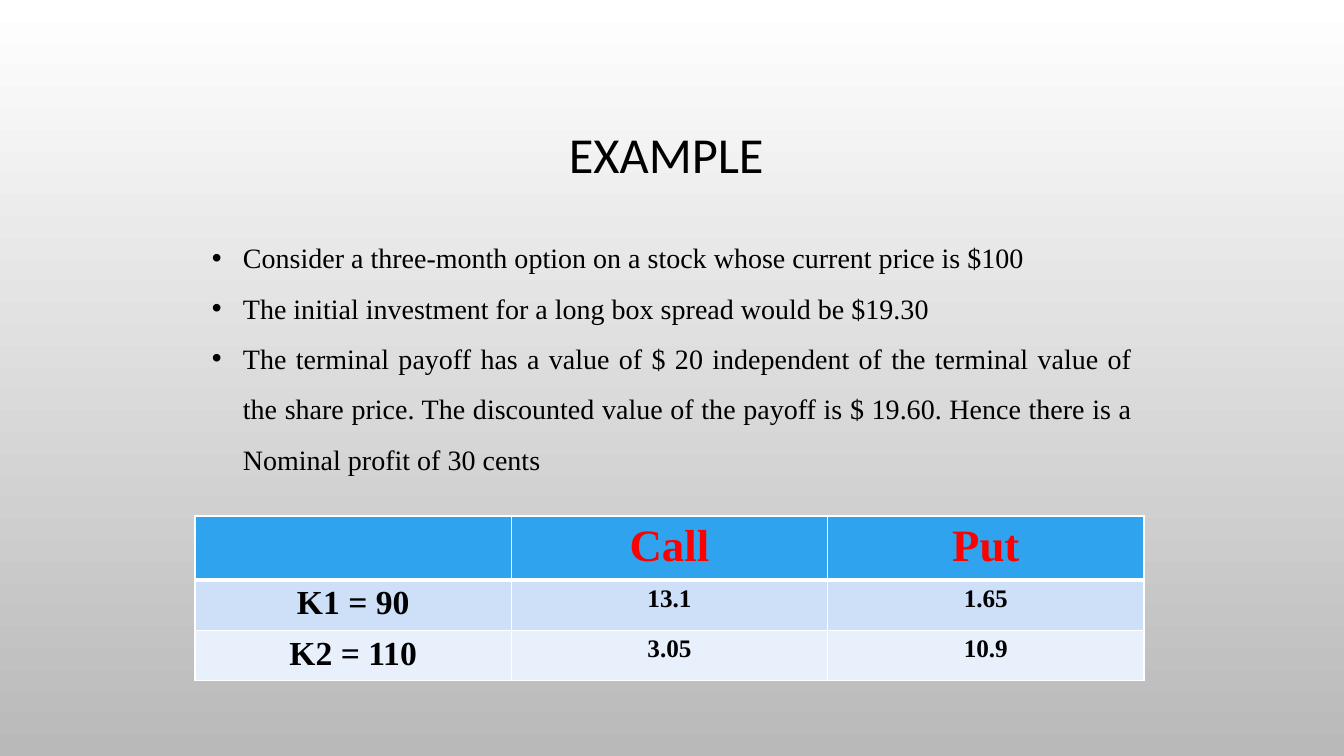
from lxml.etree import SubElement
from pptx import Presentation
from pptx.dml.color import RGBColor
from pptx.enum.text import MSO_ANCHOR, PP_ALIGN
from pptx.oxml.ns import qn
from pptx.util import Pt

EMU_PER_PX = 914400 / 100.8
WHITE = RGBColor(0xFF, 0xFF, 0xFF)
GRAY = RGBColor(0xB9, 0xB9, 0xB9)
BLACK = RGBColor(0, 0, 0)
RED = RGBColor(0xFF, 0, 0)
HEADER_BLUE = RGBColor(0x2F, 0xA3, 0xEE)
BAND_BLUE = RGBColor(0xCD, 0xE0, 0xF8)
PALE_BLUE = RGBColor(0xE8, 0xF0, 0xFC)

BULLETS = [
    "Consider a three-month option on a stock whose current price is $100",
    "The initial investment for a long box spread would be $19.30",
    "The terminal payoff has a value of $ 20 independent of the terminal value of "
    "the share price. The discounted value of the payoff is $ 19.60. Hence there is "
    "a Nominal profit of 30 cents",
]
PRICES = [
    ["", "Call", "Put"],
    ["K1 = 90", "13.1", "1.65"],
    ["K2 = 110", "3.05", "10.9"],
]
ROW_HEIGHTS = [60, 47, 48]
ROW_FILLS = [HEADER_BLUE, BAND_BLUE, PALE_BLUE]


def px(length):
    return round(length * EMU_PER_PX)


class SlideBuilder:
    title_font = "Calibri"
    body_font = "Times New Roman"

    def __init__(self, presentation):
        self.slide = presentation.slides.add_slide(presentation.slide_layouts[6])

    def background(self, top_color, bottom_color):
        fill = self.slide.background.fill
        fill.gradient()
        fill.gradient_angle = 270
        for stop, position, color in zip(fill.gradient_stops, (0, 1), (top_color, bottom_color)):
            stop.position = position
            stop.color.rgb = color

    def text_frame(self, left, top, width, height):
        shape = self.slide.shapes.add_textbox(px(left), px(top), px(width), px(height))
        shape.text_frame.word_wrap = True
        return shape.text_frame

    def run(self, paragraph, text, size, font_name, color=BLACK, bold=False):
        run = paragraph.add_run()
        run.text = text
        run.font.size = Pt(size)
        run.font.name = font_name
        run.font.color.rgb = color
        run.font.bold = bold

    def title(self, text, *box):
        frame = self.text_frame(*box)
        frame.vertical_anchor = MSO_ANCHOR.MIDDLE
        paragraph = frame.paragraphs[0]
        paragraph.alignment = PP_ALIGN.CENTER
        paragraph.line_spacing = 0.9
        self.run(paragraph, text, 36, self.title_font)

    def bullets(self, texts, indent, *box):
        frame = self.text_frame(*box)
        for index, text in enumerate(texts):
            paragraph = frame.add_paragraph() if index else frame.paragraphs[0]
            paragraph.alignment = PP_ALIGN.JUSTIFY
            paragraph.line_spacing = 1.5
            properties = paragraph._p.get_or_add_pPr()
            properties.set("marL", str(px(indent)))
            properties.set("indent", str(-px(indent)))
            SubElement(properties, qn("a:buFont"), typeface="Arial")
            SubElement(properties, qn("a:buChar"), char="•")
            self.run(paragraph, text, 20, self.body_font)

    def borders(self, cell, widths):
        properties = cell._tc.get_or_add_tcPr()
        for side, width in widths.items():
            line = SubElement(properties, qn(f"a:ln{side}"), w=str(Pt(width)))
            fill = SubElement(line, qn("a:solidFill"))
            SubElement(fill, qn("a:srgbClr"), val=str(WHITE))

    def table(self, rows, row_heights, row_fills, left, top, width):
        column_count = len(rows[0])
        table = self.slide.shapes.add_table(
            len(rows), column_count, px(left), px(top), px(width), px(sum(row_heights))
        ).table
        for column in table.columns:
            column.width = px(width / column_count)
        for row_index, texts in enumerate(rows):
            table.rows[row_index].height = px(row_heights[row_index])
            header = row_index == 0
            for column_index, text in enumerate(texts):
                cell = table.cell(row_index, column_index)
                top_width = 3 if row_index == 1 else 1
                bottom_width = 3 if header else 1
                self.borders(cell, {"L": 1, "R": 1, "T": top_width, "B": bottom_width})
                cell.fill.solid()
                cell.fill.fore_color.rgb = row_fills[row_index]
                if text:
                    paragraph = cell.text_frame.paragraphs[0]
                    paragraph.alignment = PP_ALIGN.CENTER
                    size = 32 if header else 18 if column_index else 24
                    color = RED if header else BLACK
                    self.run(paragraph, text, size, self.body_font, color, bold=True)


def main():
    presentation = Presentation()
    presentation.slide_width = px(1344)
    presentation.slide_height = px(756)
    builder = SlideBuilder(presentation)
    builder.background(WHITE, GRAY)
    builder.title("EXAMPLE ", 101, 69, 1142, 176)
    builder.table(PRICES, ROW_HEIGHTS, ROW_FILLS, 195, 516, 949)
    builder.bullets(BULLETS, 31, 202, 219, 940, 258)
    presentation.save("out.pptx")


if __name__ == "__main__":
    main()
